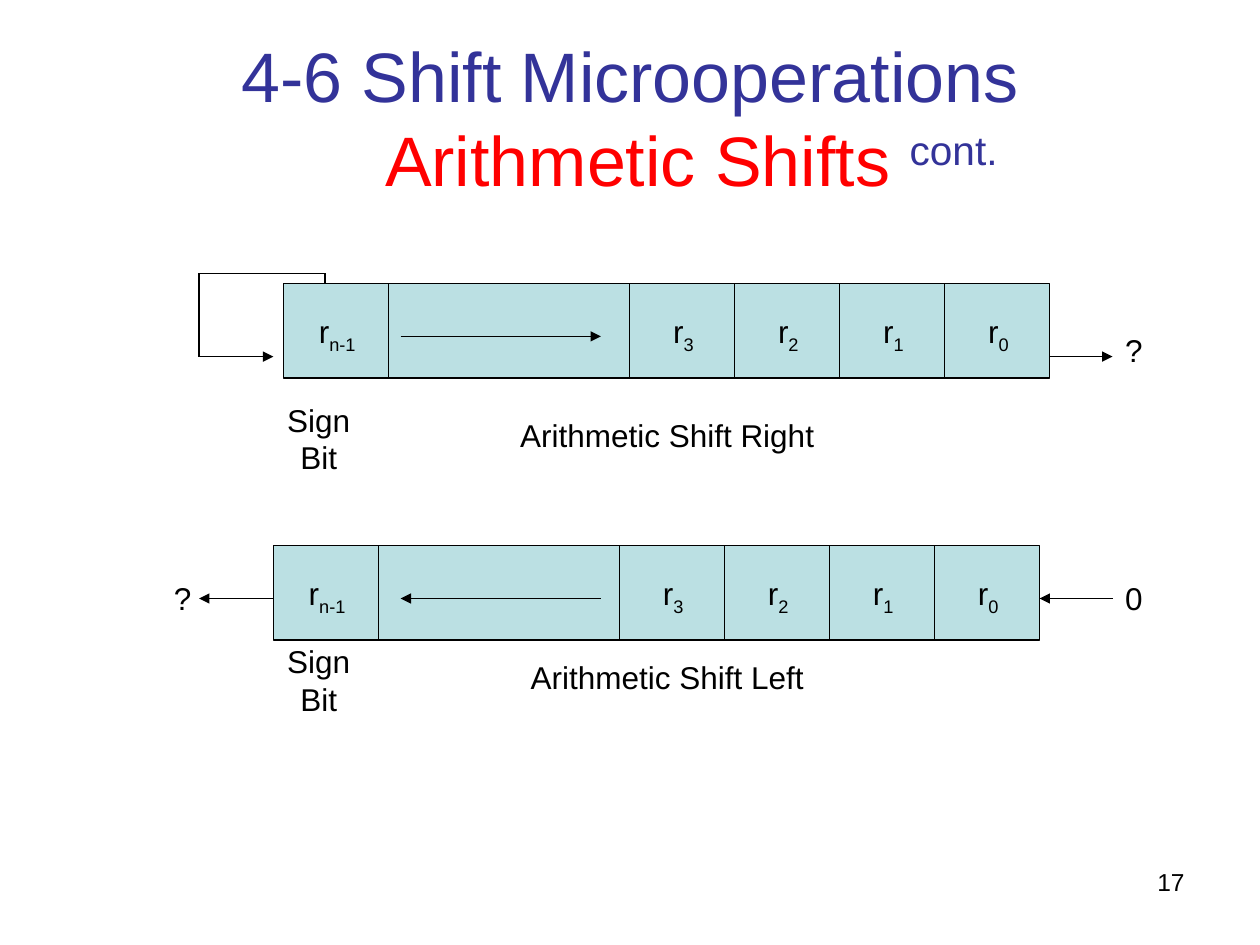
from lxml import etree
from pptx import Presentation
from pptx.dml.color import RGBColor
from pptx.enum import shapes as kind, text as txt
from pptx.oxml import ns
from pptx.util import Inches, Pt

HUES = {"ink": "000000", "title": "333399", "accent": "FF0000", "cell": "BBE0E3"}
CELL = 5 / 6
WIDTH, HEIGHT = 6.08, 0.75
EDGES = [0, CELL] + [WIDTH - CELL * n for n in (4, 3, 2, 1, 0)]
BITS = {"n-1": 0, "3": 2, "2": 3, "1": 4, "0": 5}


def hue(name):
    return RGBColor.from_string(HUES[name])


def assign(item, values):
    for key, value in values.items():
        setattr(item, key, value)


def write(para, words, size=18, color="ink", base=0):
    run = para.add_run()
    run.text = words
    assign(run.font, {"name": "Arial", "size": Pt(size)})
    run.font.color.rgb = hue(color)
    if base:
        run.font._element.set("baseline", str(base * 1000))


def label(slide, box, runs, align="CENTER", anchor="TOP"):
    frame = slide.shapes.add_textbox(*map(Inches, box)).text_frame
    assign(frame, {"word_wrap": True, "vertical_anchor": txt.MSO_ANCHOR[anchor]})
    para = frame.paragraphs[0]
    para.alignment = txt.PP_ALIGN[align]
    for words, style in runs:
        if words == "\n":
            para.add_line_break()
        else:
            write(para, words, **style)
    return para


def line(slide, start, end, arrow=False):
    rule = slide.shapes.add_connector(
        kind.MSO_CONNECTOR.STRAIGHT, *map(Inches, start + end))
    rule.line.width = Pt(0.75)
    rule.line.color.rgb = hue("ink")
    if arrow:
        tip = etree.SubElement(rule.line._get_or_add_ln(), ns.qn("a:tailEnd"))
        tip.set("type", "triangle")
    etree.SubElement(rule._element.spPr, ns.qn("a:effectLst"))


def heading(slide, box):
    para = label(slide, box, [
        ("4-6 Shift Microoperations", {"size": 40, "color": "title"}),
        ("\n", {}),
        (" ", {"size": 40, "color": "title"}),
        ("Arithmetic Shifts ", {"size": 40, "color": "accent"}),
        ("cont.", {"size": 40, "color": "title", "base": 30}),
    ], anchor="MIDDLE")
    indent = Inches(0.82)
    for key, value in {"marL": indent, "indent": -indent}.items():
        para._p.get_or_add_pPr().set(key, str(value))


def register(slide, left, top):
    body = slide.shapes.add_shape(
        kind.MSO_SHAPE.RECTANGLE, *map(Inches, (left, top, WIDTH, HEIGHT)))
    body.shadow.inherit = False
    body.fill.solid()
    body.fill.fore_color.rgb = hue("cell")
    body.line.color.rgb = hue("ink")
    body.line.width = Pt(0.75)
    for edge in EDGES[1:-1]:
        line(slide, (left + edge, top), (left + edge, top + HEIGHT))
    for bit, slot in BITS.items():
        mid = left + (EDGES[slot] + EDGES[slot + 1]) / 2
        wide = 0.78 if len(bit) > 1 else 0.58
        label(slide, (mid - wide / 2 + 0.01, top + 0.18, wide, 0.44),
              [("r", {}), (bit, {"base": -25})])


def shift(slide, box, name, ends, flow, drop, right):
    left, top = box
    step = 1 if right else -1
    for span, level in (((1.58, 2.17), flow), ((8.25, 8.83), flow)):
        start, end = span[::step]
        line(slide, (start, top + level), (end, top + level), True)
    register(slide, left, top)
    start, end = (3.18, 4.77)[::step]
    line(slide, (start, top + 0.42), (end, top + 0.42), True)
    label(slide, (3.42, top + drop, 3.75, 0.4), [(name, {})])
    label(slide, (2.03, top + drop - 0.12, 1, 0.7), [("Sign Bit", {})])
    for mark, (x, y) in ends.items():
        label(slide, (x, top + y, 0.5, 0.4), [(mark, {})])


def loop(slide, left, top, wide, high):
    points = [(left + wide, top + 0.08), (left + wide, top),
              (left, top), (left, top + high)]
    for start, end in zip(points, points[1:]):
        line(slide, start, end)


def main():
    deck = Presentation()
    assign(deck, {"slide_width": Inches(10), "slide_height": Inches(7.5)})
    slide = deck.slides.add_slide(deck.slide_layouts[6])
    heading(slide, (0.5, 0.3, 9, 1.25))
    loop(slide, 1.58, 2.17, 1, 0.66)
    shift(slide, (2.25, 2.25), "Arithmetic Shift Right",
          {"?": (8.75, 0.33)}, 0.58, 1, True)
    shift(slide, (2.17, 4.33), "Arithmetic Shift Left",
          {"?": (1.2, 0.22), "0": (8.75, 0.22)}, 0.42, 0.84, False)
    label(slide, (7.17, 6.83, 2.33, 0.52), [("17", {"size": 14})], align="RIGHT")
    deck.save("out.pptx")


if __name__ == "__main__":
    main()
